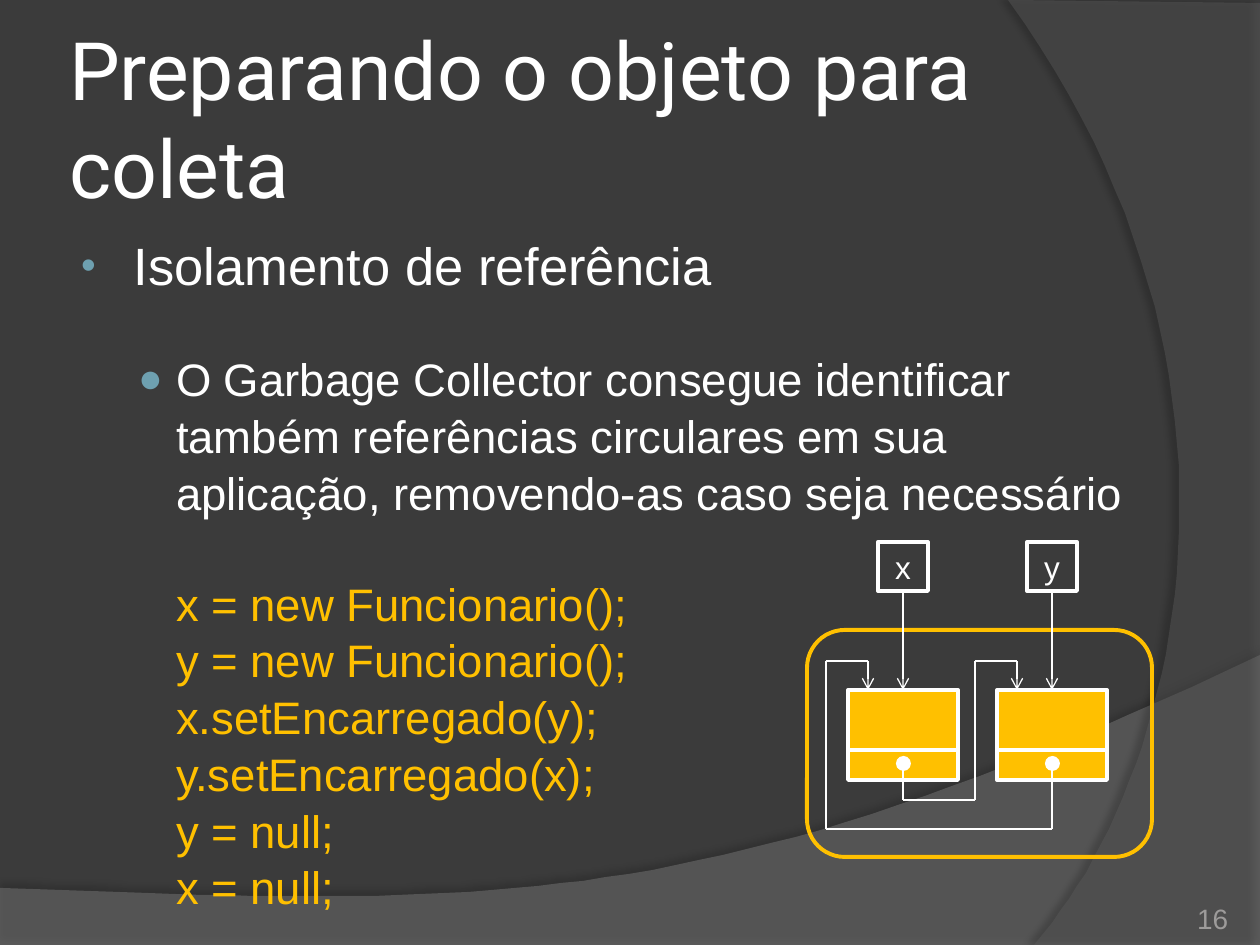
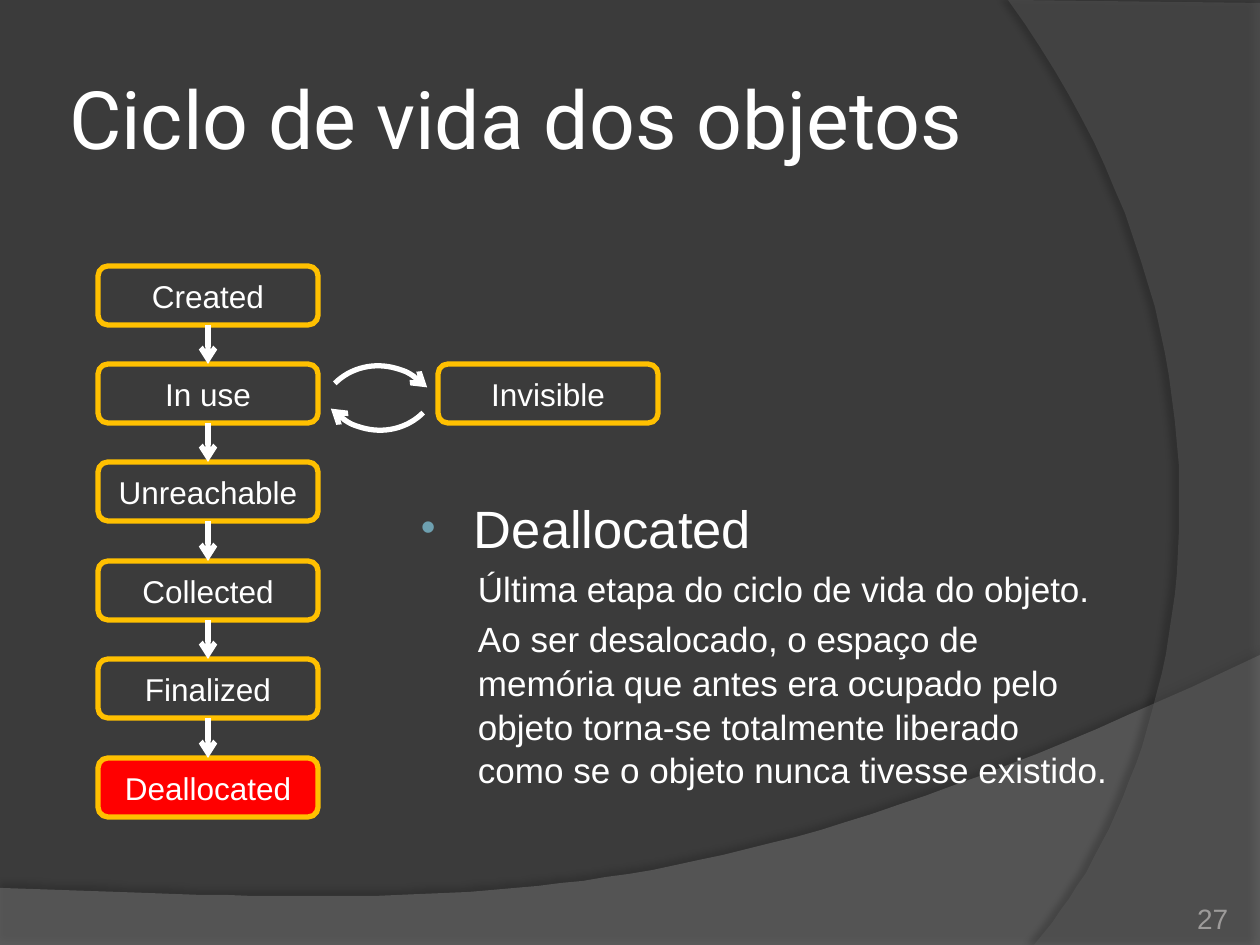
from dataclasses import dataclass
from itertools import pairwise

from lxml import etree
from pptx import Presentation
from pptx.dml.color import RGBColor
from pptx.enum.shapes import MSO_CONNECTOR, MSO_SHAPE
from pptx.enum.text import MSO_ANCHOR, PP_ALIGN
from pptx.oxml.ns import qn
from pptx.util import Pt

PX = 914400 / 126  # EMU in one px
RECT, ROUND = MSO_SHAPE.RECTANGLE, MSO_SHAPE.ROUNDED_RECTANGLE
OVAL, ARC = MSO_SHAPE.OVAL, MSO_SHAPE.ARC
STRAIGHT = MSO_CONNECTOR.STRAIGHT
TOP, MIDDLE, BOTTOM = MSO_ANCHOR.TOP, MSO_ANCHOR.MIDDLE, MSO_ANCHOR.BOTTOM
LEFT, CENTER, RIGHT = PP_ALIGN.LEFT, PP_ALIGN.CENTER, PP_ALIGN.RIGHT
SITE_TOP, SITE_BOTTOM = 0, 2


@dataclass(frozen=True)
class Theme:
    background: str = "3B3B3B"
    wave: str = "7F7F7F"
    side: str = "5E5E5E"
    shadow: str = "000000"
    text: str = "FFFFFF"
    accent: str = "FFC000"
    current: str = "FF0000"
    bullet: str = "6EA0B0"
    number: str = "9D9B9A"
    title_font: str = "Roboto"
    body_font: str = "Arial"
    title_size: int = 46
    heading_size: int = 30
    detail_size: int = 26
    note_size: int = 20
    label_size: int = 18
    number_size: int = 16


THEME = Theme()


@dataclass(frozen=True)
class Line:
    """One paragraph: lengths in px, sizes and spacing in points."""
    text: str
    size: int
    color: str = THEME.text
    font: str = THEME.body_font
    margin: int = 0
    hanging: int = 0
    before: int = 0
    bullet: str = ""
    bullet_percent: int = 100
    spacing: float = 1.0
    align: PP_ALIGN = LEFT


def px(value):
    return round(value * PX)


def rgb(value):
    return RGBColor.from_string(value)


def add_child(parent, tag, **attributes):
    child = etree.SubElement(parent, qn(tag))
    for key, value in attributes.items():
        child.set(key, str(value))
    return child


# Text
def write_line(paragraph, line):
    paragraph.alignment = line.align
    paragraph.line_spacing = line.spacing
    if line.before:
        paragraph.space_before = Pt(line.before)
    properties = paragraph._p.get_or_add_pPr()
    properties.set("marL", str(px(line.margin)))
    properties.set("indent", str(-px(line.hanging)))
    if line.bullet:
        color = add_child(properties, "a:buClr")
        add_child(color, "a:srgbClr", val=THEME.bullet)
        add_child(properties, "a:buSzPct", val=line.bullet_percent * 1000)
        add_child(properties, "a:buFont", typeface=THEME.body_font)
        add_child(properties, "a:buChar", char=line.bullet)
    run = paragraph.add_run()
    run.text = line.text
    run.font.name = line.font
    run.font.size = Pt(line.size)
    run.font.color.rgb = rgb(line.color)


def fill_frame(frame, lines, anchor, insets):
    frame.word_wrap = True
    frame.vertical_anchor = anchor
    (frame.margin_left, frame.margin_top,
     frame.margin_right, frame.margin_bottom) = map(px, insets)
    for index, line in enumerate(lines):
        paragraph = frame.add_paragraph() if index else frame.paragraphs[0]
        write_line(paragraph, line)


def add_text(slide, box, lines, anchor=TOP, insets=(13, 10, 13, 6)):
    area = slide.shapes.add_textbox(*map(px, box))
    fill_frame(area.text_frame, lines, anchor, insets)


# Shapes and lines
def add_box(slide, kind, box, fill=None, outline=None, width=2.25, label=""):
    shape = slide.shapes.add_shape(kind, *map(px, box))
    shape.shadow.inherit = False
    if fill:
        shape.fill.solid()
        shape.fill.fore_color.rgb = rgb(fill)
    else:
        shape.fill.background()
    if outline:
        shape.line.color.rgb = rgb(outline)
        shape.line.width = Pt(width)
    else:
        shape.line.fill.background()
    if label:
        text = Line(label, THEME.label_size, align=CENTER)
        fill_frame(shape.text_frame, [text], MIDDLE, (13, 6, 13, 6))
    return shape


def add_arrowhead(shape):
    add_child(shape.line._get_or_add_ln(), "a:tailEnd", type="arrow")


def add_line(slide, start, end, width=0.75, arrow=False):
    line = slide.shapes.add_connector(STRAIGHT, *map(px, (*start, *end)))
    line.line.color.rgb = rgb(THEME.text)
    line.line.width = Pt(width)
    add_child(line._element.spPr, "a:effectLst")
    if arrow:
        add_arrowhead(line)
    return line


def join_down(slide, upper, lower, width):
    """Arrow from the bottom of one box to the top of the next."""
    arrow = add_line(slide, (0, 0), (0, 0), width, arrow=True)
    arrow.begin_connect(upper, SITE_BOTTOM)
    arrow.end_connect(lower, SITE_TOP)


def add_route(slide, corners):
    for start, end in pairwise(corners):
        add_line(slide, start, end, arrow=end == corners[-1])


def add_cycle_arc(slide, box, rotation):
    arc = add_box(slide, ARC, box, outline=THEME.text, width=3)
    arc.adjustments[0], arc.adjustments[1] = 162, 1.19
    arc.rotation = rotation
    add_arrowhead(arc)


# Background and shared parts
def curve(start, pull_a, pull_b, end, steps=48):
    points = []
    for step in range(1, steps + 1):
        t = step / steps
        weights = ((1 - t) ** 3, 3 * t * (1 - t) ** 2, 3 * t * t * (1 - t), t ** 3)
        points.append(tuple(
            sum(w * p[axis] for w, p in zip(weights, (start, pull_a, pull_b, end)))
            for axis in (0, 1)))
    return points


def add_band(slide, points, color, opacity, shadow):
    builder = slide.shapes.build_freeform(*points[0], scale=PX)
    builder.add_line_segments(points[1:], close=True)
    band = builder.convert_to_shape()
    band.fill.solid()
    band.fill.fore_color.rgb = rgb(color)
    band.line.fill.background()
    band.shadow.inherit = False
    properties = band._element.spPr
    add_child(properties.find(f".//{qn('a:srgbClr')}"), "a:alpha", val=opacity * 1000)
    strength, blur, distance, direction = shadow
    outer = add_child(properties.find(qn("a:effectLst")), "a:outerShdw",
                      blurRad=Pt(blur), dist=Pt(distance),
                      dir=direction * 60000, rotWithShape=0)
    tone = add_child(outer, "a:srgbClr", val=THEME.shadow)
    add_child(tone, "a:alpha", val=strength * 1000)


def start_slide(deck, title, number, title_width):
    slide = deck.slides.add_slide(deck.slide_layouts[6])
    slide.background.fill.solid()
    slide.background.fill.fore_color.rgb = rgb(THEME.background)

    wave_edge = curve((1260, 655), (704, 919), (493, 906), (0, 888))
    add_band(slide, [(0, 888), (0, 946), (1260, 946), (1260, 655), *wave_edge],
             THEME.wave, 45, (35, 4, 3.5, 270))
    side_edge = curve((1034, 945), (1178, 780), (1283, 378), (1008, 0))
    add_band(slide, [(1260, 3), (1260, 945), (1034, 945), *side_edge],
             THEME.side, 40, (45, 4, 4, 180))

    heading = Line(title, THEME.title_size, font=THEME.title_font, spacing=1.02)
    add_text(slide, (63, 38, title_width, 157), [heading], MIDDLE, (6, 6, 6, 6))
    page = Line(str(number), THEME.number_size, THEME.number, align=RIGHT)
    add_text(slide, (1124, 885, 104, 50), [page], BOTTOM, (0, 0, 0, 0))
    return slide


def topic(text):
    return Line(text, THEME.heading_size, margin=58, hanging=53,
                bullet="•", bullet_percent=80, spacing=1.04)


# Slide: circular references
def add_object(slide, name, left):
    variable = add_box(slide, RECT, (left + 30, 542, 50, 49),
                       outline=THEME.text, label=name)
    header = add_box(slide, RECT, (left, 690, 110, 60), THEME.accent, THEME.text)
    add_box(slide, RECT, (left, 750, 110, 30), THEME.accent, THEME.text)
    join_down(slide, variable, header, 0.75)


def add_reference(slide, source, target, lane_x, lane_y):
    """Route from the field of one object round to the top of the other."""
    out_x, in_x, turn_y = source + 55, target + 20, 661
    add_route(slide, [(out_x, 763), (out_x, lane_y), (lane_x, lane_y),
                      (lane_x, turn_y), (in_x, turn_y), (in_x, 690)])
    add_box(slide, OVAL, (out_x - 7, 756, 15, 15), THEME.text)


def build_isolation(deck):
    slide = start_slide(deck, "Preparando o objeto para coleta", 16, 1113)
    explanation = Line(
        "O Garbage Collector consegue identificar também referências circulares "
        "em sua aplicação, removendo-as caso seja necessário",
        THEME.detail_size, margin=100, hanging=38, before=30,
        bullet="●", bullet_percent=90, spacing=1.04)
    statements = ("x = new Funcionario();", "y = new Funcionario();",
                  "x.setEncarregado(y);", "y.setEncarregado(x);",
                  "y = null;", "x = null;")
    code = [Line(statement, THEME.detail_size, THEME.accent, margin=100,
                 before=0 if index else 31, spacing=1.04)
            for index, statement in enumerate(statements)]
    add_text(slide, (63, 221, 1103, 624),
             [topic("Isolamento de referência"), explanation, *code])

    add_box(slide, ROUND, (807, 630, 345, 227), outline=THEME.accent)
    x_left, y_left = 848, 997
    add_object(slide, "x", x_left)
    add_object(slide, "y", y_left)
    add_reference(slide, x_left, y_left, lane_x=975, lane_y=800)
    add_reference(slide, y_left, x_left, lane_x=826, lane_y=829)


# Slide: life cycle
def add_state(slide, name, left, top, fill=None):
    return add_box(slide, ROUND, (left, top, 220, 59), fill, THEME.accent, 3, name)


def build_life_cycle(deck):
    slide = start_slide(deck, "Ciclo de vida dos objetos", 27, 1029)
    notes = ("Última etapa do ciclo de vida do objeto.",
             "Ao ser desalocado, o espaço de memória que antes era ocupado pelo "
             "objeto torna-se totalmente liberado como se o objeto nunca tivesse "
             "existido.")
    current = "Deallocated"
    add_text(slide, (403, 483, 718, 362), [topic(current)] + [
        Line(note, THEME.note_size, margin=62, before=4, spacing=1.04)
        for note in notes])

    names = ("Created", "In use", "Unreachable", "Collected", "Finalized", current)
    first_top, last_top = 266, 758
    tops = [first_top + (last_top - first_top) * index // (len(names) - 1)
            for index in range(len(names))]
    states = [add_state(slide, name, 98, top,
                        THEME.current if name == current else None)
              for name, top in zip(names, tops)]
    for upper, lower in pairwise(states):
        join_down(slide, upper, lower, 3)

    add_state(slide, "Invisible", 438, tops[1])
    add_cycle_arc(slide, (319, 364, 125, 132), 315)
    add_cycle_arc(slide, (314, 300, 125, 132), 135)


def main():
    deck = Presentation()
    deck.slide_width, deck.slide_height = px(1260), px(945)
    build_isolation(deck)
    build_life_cycle(deck)
    deck.save("out.pptx")


if __name__ == "__main__":
    main()
